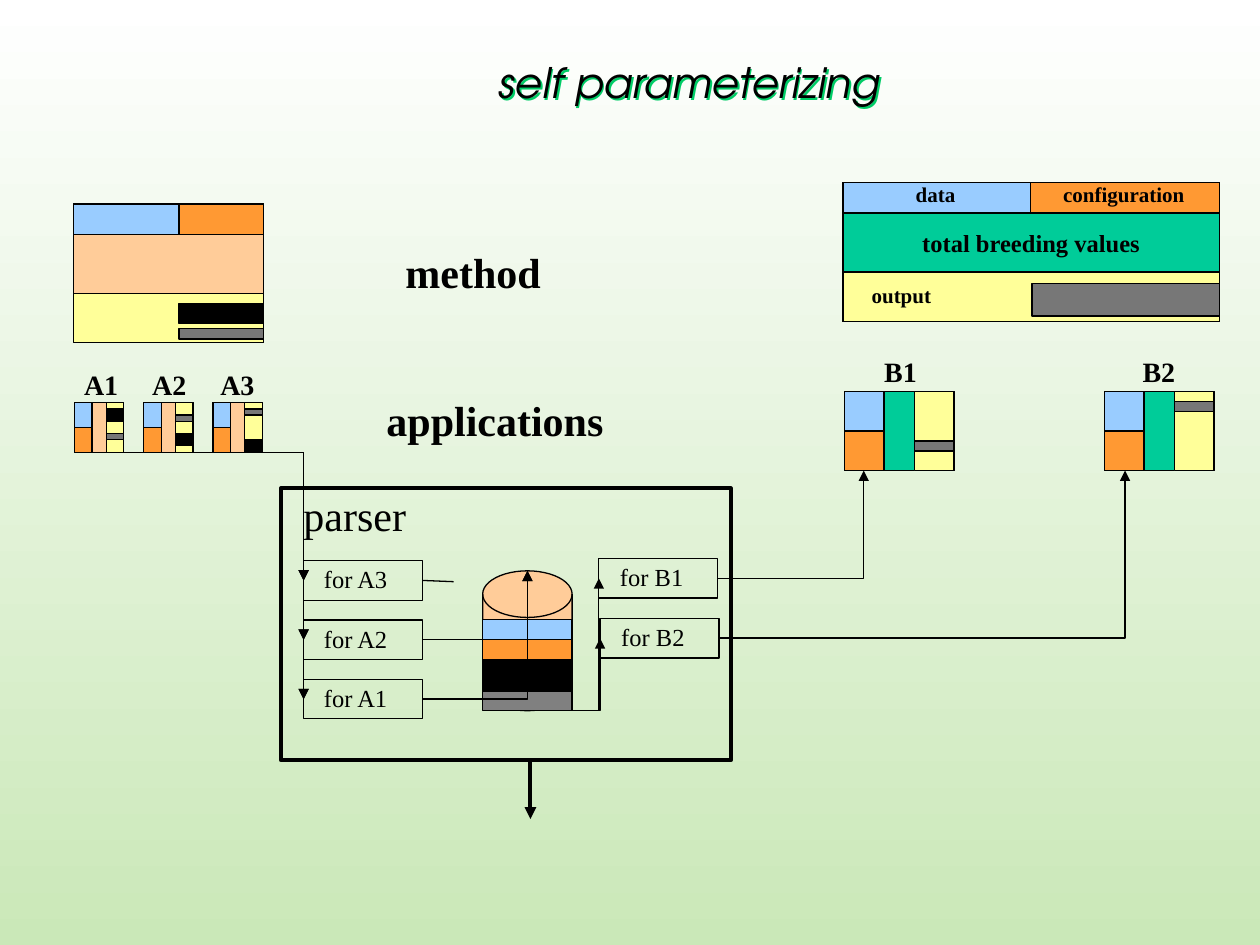
from lxml.etree import SubElement as Sub
from pptx import Presentation
from pptx.dml.color import RGBColor as RGB
from pptx.enum.shapes import MSO_CONNECTOR as CONN, MSO_SHAPE as SHAPE
from pptx.enum.text import MSO_ANCHOR as ANCHOR, PP_ALIGN as ALIGN
from pptx.oxml.ns import qn
from pptx.util import Pt

BLACK = RGB(0, 0, 0)
WHITE = RGB(255, 255, 255)
LEAF = RGB(0xCA, 0xE8, 0xB8)
PEACH = RGB(0xFF, 0xCC, 0x99)
CREAM = RGB(0xFF, 0xFF, 0x99)
BLUE = RGB(0x99, 0xCC, 0xFF)
ORANGE = RGB(0xFF, 0x99, 0x33)
TEAL = RGB(0, 0xCC, 0x99)
GREY = RGB(0x77, 0x77, 0x77)
ASH = RGB(0x80, 0x80, 0x80)
SERIF = "Times New Roman"
SANS = "TeX Gyre Adventor"

PANELS = [
    (41.8, 116.6, 108.7, 63.4, 60.5, 48.2, PEACH,
     [(BLACK, 56.9, 11.5), (GREY, 71.3, 5.8)]),
    (481.7, 104.4, 215.3, 108, 107, 107.3, TEAL, [(GREY, 57.6, 18.7)]),
]
A_APPS = [
    ("A1", [(BLACK, 3.5, 7), (GREY, 17.5, 3.5)]),
    ("A2", [(GREY, 7, 3.5), (BLACK, 17.5, 7)]),
    ("A3", [(GREY, 3.5, 3.5), (BLACK, 21, 7)]),
]
B_APPS = [
    ("B1", 482.6, 498.2, [(GREY, 28.3, 5.7)]),
    ("B2", 631.2, 645.8, [(GREY, 5.7, 5.7)]),
]
A_JOBS = ["for A3", "for A2", "for A1"]
B_JOBS = [("for B1", 342.2, 319.2, 493.6), ("for B2", 342.9, 353.4, 642.9)]
BANDS = [(BLUE, 354.2, 11.3), (ORANGE, 365.5, 11.3),
         (BLACK, 376.8, 18), (ASH, 394.8, 11.3)]
NOTES = [
    ("method", 224.6, 139.7, 101.5, 24, True),
    ("applications", 213.8, 224.6, 155.5, 24, True),
    ("parser", 166.3, 278.6, 82.8, 24, False),
    ("data", 516.2, 101.5, 38.9, 12, True),
    ("configuration", 600.5, 101.5, 90.7, 12, True),
    ("output", 491, 159.1, 51.1, 12, True),
]

deck = Presentation()
deck.slide_width, deck.slide_height = Pt(720), Pt(540)
slide = deck.slides.add_slide(deck.slide_layouts[6])
shapes = slide.shapes
back = slide.background.fill
back.gradient()
back.gradient_angle = 270
for stop, tint in zip(back.gradient_stops, (WHITE, LEAF)):
    stop.color.rgb = tint


def box(x, y, w, h, fill=None, line=0.75, kind=SHAPE.RECTANGLE):
    shape = shapes.add_shape(kind, Pt(x), Pt(y), Pt(w), Pt(h))
    shape.shadow.inherit = False
    if fill is None:
        shape.fill.background()
    else:
        shape.fill.solid()
        shape.fill.fore_color.rgb = fill
    shape.line.color.rgb = BLACK
    shape.line.width = Pt(line)


def wire(x1, y1, x2, y2, bent=True, head=True, width=0.75):
    kind = CONN.ELBOW if bent else CONN.STRAIGHT
    link = shapes.add_connector(kind, Pt(x1), Pt(y1), Pt(x2), Pt(y2))
    link.line.color.rgb = BLACK
    link.line.width = Pt(width)
    props = link._element.spPr
    if bent:
        props.find(qn("a:prstGeom")).set("prst", "bentConnector2")
    if head:
        Sub(props.find(qn("a:ln")), qn("a:tailEnd"), type="triangle")
    Sub(props, qn("a:effectLst"))


def label(text, x, y, w, size, bold=False, wrap=True, align=ALIGN.LEFT):
    area = shapes.add_textbox(Pt(x), Pt(y), Pt(w), Pt(size * 0.98 + 8))
    frame = area.text_frame
    frame.word_wrap = wrap
    frame.text = text
    para = frame.paragraphs[0]
    para.alignment = align
    para.line_spacing = 0.93
    font = para.runs[0].font
    font.name, font.size, font.bold = SERIF, Pt(size), bold
    font.color.rgb = BLACK
    return area


def panel(x, y, w, left, gap, right, body, bars):
    box(x, y, w, 79.2, body)
    box(x, y + 51.1, w, 28.1, CREAM)
    for tint, dy, h in bars:
        box(x + w - right, y + dy, right, h, tint)
    box(x, y, left, 17.3, BLUE)
    box(x + gap, y, w - gap, 17.3, ORANGE)


def tile(x, y, w, h, left, right, body, bars):
    box(x, y, w, h, body)
    box(x + w - right, y, right, h, CREAM)
    box(x, y, left, h / 2, BLUE)
    box(x, y + h / 2, left, h / 2, ORANGE)
    for tint, dy, tall in bars:
        box(x + w - right, y + dy, right, tall, tint)


title = label("self parameterizing", 87.8, 24.5, 612, 24, align=ALIGN.CENTER)
title.height = Pt(40.3)
title.text_frame.vertical_anchor = ANCHOR.BOTTOM
words = title.text_frame.paragraphs[0]
words.line_spacing = 1
words.runs[0].font.name = SANS
words.runs[0].font.italic = True
glow = Sub(Sub(title._element.spPr, qn("a:effectLst")), qn("a:outerShdw"),
           dist="17960", dir="2700000")
Sub(glow, qn("a:srgbClr"), val="00CC66")

for x, y, w, left, right, gap, body, bars in [
        (x, y, w, lft, rgt, 60.5 if body == PEACH else gap, body, bars)
        for x, y, w, lft, gap, rgt, body, bars in PANELS]:
    panel(x, y, w, left, gap, right, body, bars)
label("total breeding values", 519.8, 128.2, 139, 14, True, False, ALIGN.CENTER)

box(160.6, 279, 257, 155.5, line=2.25)
box(275.8, 326.2, 51.1, 79.9, PEACH, kind=SHAPE.FLOWCHART_MAGNETIC_DISK)
for tint, y, h in BANDS:
    box(275.8, y, 51.1, h, tint)

for i, (name, bars) in enumerate(A_APPS):
    x = 42.5 + 39.6 * i
    tile(x, 230.2, 28.3, 28.3, 10.1, 10.1, PEACH, bars)
    label(name, 41 + 38.9 * i, 208.1, 34.6, 16, True)
    for dx in (5, 23):
        wire(x + dx, 258.5, 173.5, 399.6 - 33.9 * i)

for i, name in enumerate(A_JOBS):
    y = 320.4 + 33.9 * i
    box(173.5, y, 68, 22.6)
    label(name, 178, y, 51.8, 14)
    if i:
        wire(241.6, y + 11.3, 301.4, 326.2)
wire(241.6, 331.7, 259.2, 332.4, bent=False, head=False)
wire(303.1, 434.2, 303.1, 468, bent=False, width=2.25)

for (name, x, tag, bars), (job, left, y, end) in zip(B_APPS, B_JOBS):
    tile(x, 223.7, 62.6, 45.2, 22.6, 22.8, TEAL, bars)
    label(name, tag, 200.9, 34.6, 16, True)
    box(left, y, 68, 22.6)
    label(job, left + 5, y, 51.8, 14)
    wire(301.4, 406.1, left, y + 11.3)
    wire(left + 68, y + 11.3, end, 268.9)

for text, x, y, w, size, bold in NOTES:
    label(text, x, y, w, size, bold)

deck.save("out.pptx")
